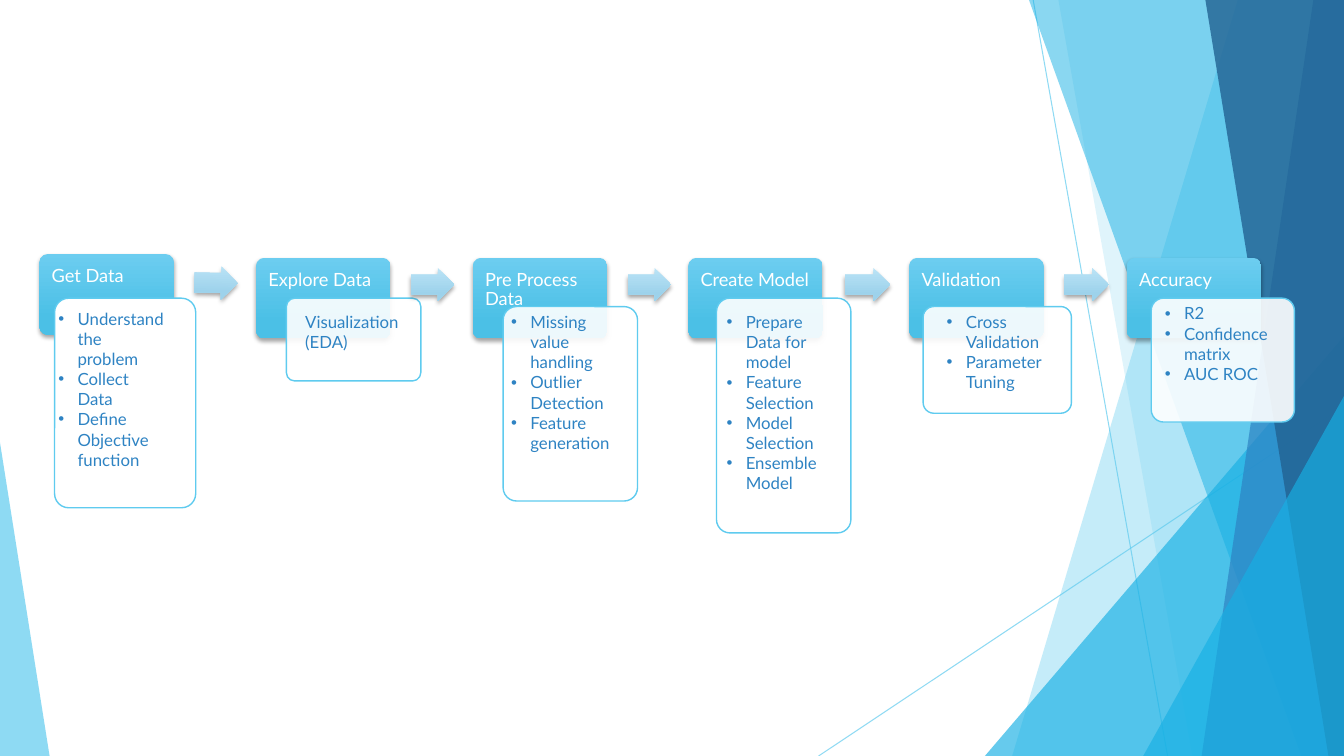
from dataclasses import dataclass
from typing import Any, NamedTuple, Optional

from lxml.etree import SubElement
from pptx import Presentation
from pptx.dml.color import RGBColor
from pptx.enum.shapes import MSO_CONNECTOR, MSO_SHAPE
from pptx.enum.text import MSO_ANCHOR, MSO_AUTO_SIZE, PP_ALIGN
from pptx.oxml.ns import qn
from pptx.shapes.autoshape import Shape
from pptx.slide import Slide
from pptx.util import Inches, Pt

ROUNDED = MSO_SHAPE.ROUNDED_RECTANGLE
ARROW = MSO_SHAPE.RIGHT_ARROW
TRIANGLE = MSO_SHAPE.ISOSCELES_TRIANGLE
STRAIGHT = MSO_CONNECTOR.STRAIGHT
TOP = MSO_ANCHOR.TOP
LEFT = PP_ALIGN.LEFT
GROW = MSO_AUTO_SIZE.SHAPE_TO_FIT_TEXT
NO_AUTOSIZE = MSO_AUTO_SIZE.NONE

COLUMNS, ROWS = 32, 18
SLIDE_WIDTH, SLIDE_HEIGHT = Inches(13.33), Inches(7.5)


@dataclass(frozen=True)
class Theme:
    font: str = "Lato"
    heading_size: int = 13
    list_size: int = 12
    sky: str = "5FCBEF"
    cyan: str = "17B0E4"
    blue: str = "2E83C3"
    navy: str = "226292"
    white: str = "FFFFFF"
    shadow: str = "000000"
    header_gradient: tuple[str, str] = ("6CCDF0", "4BC0E6")
    arrow_gradient: tuple[str, str] = ("BAE3F6", "9DD2EB")


THEME = Theme()


class Box(NamedTuple):
    column: float
    row: float
    width: float
    height: float


class Ray(NamedTuple):
    start: tuple[float, float]
    end: tuple[float, float]


class Band(NamedTuple):
    top: float
    bottom: float
    color: str
    opacity: int


class Corner(NamedTuple):
    box: Box
    apex: float
    color: str
    opacity: int


@dataclass(frozen=True)
class Step:
    heading: str
    header: Box
    card: Box
    area: Box
    items: tuple[str, ...]
    bulleted: bool = True
    opacity: int = 90
    arrow: Optional[Box] = None
    tilt: float = 0


RAYS = (Ray((24.6, 0), (27.8, 18)), Ray((32, 9.67), (19.49, 18)))

FACETS = (
    Band(29.47, 24.1, THEME.sky, 36),
    Band(25.2, 28.39, THEME.sky, 20),
    Corner(Box(23.45, 8, 8.55, 10), 1, THEME.cyan, 66),
    Band(24.5, 30.98, THEME.cyan, 50),
    Band(31.27, 28.61, THEME.blue, 70),
    Band(28.7, 31.63, THEME.navy, 80),
    Corner(Box(27.22, 9.43, 4.78, 8.57), 1, THEME.cyan, 66),
    Corner(Box(0, 10.54, 1.18, 7.46), 0, THEME.sky, 70),
)

STEPS = (
    Step("Get Data", Box(0.94, 6.05, 3.2, 1.92), Box(1.3, 7.1, 3.36, 4.99),
         Box(1.15, 7.22, 3, 4.13),
         ("Understand the problem", "Collect Data", "Define Objective function"),
         opacity=100, arrow=Box(4.63, 6.34, 1.03, 0.79), tilt=1.1),
    Step("Explore Data", Box(6.1, 6.14, 3.2, 1.92), Box(6.82, 7.1, 3.2, 1.97),
         Box(7.03, 7.3, 2.98, 1.94), ("Visualization (EDA)",),
         bulleted=False, arrow=Box(9.79, 6.38, 1.03, 0.79)),
    Step("Pre Process Data", Box(11.26, 6.14, 3.2, 1.92), Box(11.98, 7.3, 3.2, 4.63),
         Box(11.93, 7.3, 3, 3.62),
         ("Missing value handling", "Outlier Detection", "Feature generation"),
         arrow=Box(14.95, 6.38, 1.03, 0.79)),
    Step("Create Model", Box(16.39, 6.14, 3.2, 1.92), Box(17.06, 7.1, 3.2, 5.59),
         Box(17.06, 7.3, 2.98, 4.61),
         ("Prepare Data for model", "Feature Selection", "Model Selection", "Ensemble Model"),
         arrow=Box(20.11, 6.38, 1.08, 0.79)),
    Step("Validation", Box(21.65, 6.14, 3.2, 1.92), Box(21.98, 7.3, 3.53, 2.54),
         Box(22.3, 7.3, 3.31, 2.18), ("Cross Validation", "Parameter Tuning"),
         arrow=Box(25.34, 6.38, 1.06, 0.79)),
    Step("Accuracy", Box(26.83, 6.14, 3.2, 1.92), Box(27.41, 7.1, 3.41, 2.95),
         Box(27.5, 7.1, 3.34, 2.18), ("R2", "Confidence matrix", "AUC ROC")),
)


def across(columns: float) -> int:
    return round(SLIDE_WIDTH * columns / COLUMNS)


def down(rows: float) -> int:
    return round(SLIDE_HEIGHT * rows / ROWS)


def place(box: Box) -> tuple[int, int, int, int]:
    return across(box.column), down(box.row), across(box.width), down(box.height)


def assign(target: Any, values: dict[str, Any]) -> None:
    for name, value in values.items():
        setattr(target, name, value)


def fade(shape: Any, opacity: int) -> None:
    for color in shape._element.spPr.iter(qn("a:srgbClr")):
        SubElement(color, qn("a:alpha"), val=str(opacity * 1000))


def paint(shape: Shape, color: str, opacity: int) -> None:
    shape.shadow.inherit = False
    shape.fill.solid()
    shape.fill.fore_color.rgb = RGBColor.from_string(color)
    fade(shape, opacity)
    shape.line.fill.background()


def paint_raised(shape: Shape, gradient: tuple[str, str]) -> None:
    shape.line.fill.background()
    shape.fill.gradient()
    shape.fill.gradient_angle = 270
    for stop, position, color in zip(shape.fill.gradient_stops, (0, 0.78), gradient):
        stop.position = position
        stop.color.rgb = RGBColor.from_string(color)
    shape.shadow.inherit = False
    effects = shape._element.spPr.find(qn("a:effectLst"))
    shadow = SubElement(effects, qn("a:outerShdw"), blurRad=str(Pt(3)), dist=str(Pt(2)),
                        dir="5400000", rotWithShape="0")
    color = SubElement(shadow, qn("a:srgbClr"), val=THEME.shadow)
    SubElement(color, qn("a:alpha"), val="35000")


def write(shape: Any, lines: tuple[str, ...], size: int, color: str, spacing: float,
          frame_format: dict[str, Any], bulleted: bool = False) -> None:
    frame = shape.text_frame
    assign(frame, {"word_wrap": True, "vertical_anchor": TOP} | frame_format)
    frame.text = "\n".join(lines)
    for paragraph in frame.paragraphs:
        assign(paragraph, {"alignment": LEFT, "line_spacing": spacing,
                           "space_before": Pt(0), "space_after": Pt(0)})
        font = paragraph.runs[0].font
        assign(font, {"name": THEME.font, "size": Pt(size), "bold": False})
        font.color.rgb = RGBColor.from_string(color)
        if bulleted:
            properties = paragraph._p.get_or_add_pPr()
            properties.set("marL", str(Inches(0.19)))
            properties.set("indent", str(-Inches(0.19)))
            SubElement(properties, qn("a:buFont"), typeface="Arial")
            SubElement(properties, qn("a:buChar"), char="•")


def draw_ray(slide: Slide, ray: Ray) -> None:
    (left, top), (right, bottom) = ray
    connector = slide.shapes.add_connector(
        STRAIGHT, across(left), down(top), across(right), down(bottom))
    connector.line.color.rgb = RGBColor.from_string(THEME.sky)
    connector.line.width = Pt(0.75)
    fade(connector, 70)
    SubElement(connector._element.spPr, qn("a:effectLst"))


def draw_facet(slide: Slide, facet: Band | Corner) -> None:
    if isinstance(facet, Band):
        builder = slide.shapes.build_freeform(across(facet.top), 0)
        builder.add_line_segments([(SLIDE_WIDTH, 0), (SLIDE_WIDTH, SLIDE_HEIGHT),
                                   (across(facet.bottom), SLIDE_HEIGHT)], close=True)
        shape = builder.convert_to_shape()
    else:
        shape = slide.shapes.add_shape(TRIANGLE, *place(facet.box))
        shape.adjustments[0] = facet.apex
    paint(shape, facet.color, facet.opacity)


def draw_step(slide: Slide, step: Step) -> None:
    header = slide.shapes.add_shape(ROUNDED, *place(step.header))
    header.adjustments[0] = 0.1
    paint_raised(header, THEME.header_gradient)
    write(header, (step.heading,), THEME.heading_size, THEME.white, 0.9,
          {"auto_size": NO_AUTOSIZE, "margin_left": Inches(0.1), "margin_top": Inches(0.1),
           "margin_right": Inches(0.1), "margin_bottom": Inches(0.05)})
    card = slide.shapes.add_shape(ROUNDED, *place(step.card))
    card.adjustments[0] = 0.1
    paint(card, THEME.white, step.opacity)
    card.line.color.rgb = RGBColor.from_string(THEME.sky)
    card.line.width = Pt(1)
    if step.arrow:
        arrow = slide.shapes.add_shape(ARROW, *place(step.arrow))
        arrow.adjustments[0] = 0.6
        arrow.rotation = step.tilt
        paint_raised(arrow, THEME.arrow_gradient)


def draw_list(slide: Slide, step: Step, bodies: list[Any]) -> None:
    if step.bulleted and bodies:
        shape = bodies.pop(0)
        slide.shapes._spTree.append(shape._element)
    else:
        shape = slide.shapes.add_textbox(*place(step.area))
    assign(shape, dict(zip(("left", "top", "width", "height"), place(step.area))))
    write(shape, step.items, THEME.list_size, THEME.blue, 1.0, {"auto_size": GROW}, step.bulleted)


def main() -> None:
    presentation = Presentation()
    assign(presentation, {"slide_width": SLIDE_WIDTH, "slide_height": SLIDE_HEIGHT})
    slide = presentation.slides.add_slide(presentation.slide_layouts.get_by_name("Comparison"))
    title, *bodies = slide.placeholders
    slide.shapes._spTree.remove(title._element)
    for ray in RAYS:
        draw_ray(slide, ray)
    for facet in FACETS:
        draw_facet(slide, facet)
    for step in STEPS:
        draw_step(slide, step)
    for step in STEPS:
        draw_list(slide, step, bodies)
    presentation.save("out.pptx")


if __name__ == "__main__":
    main()
